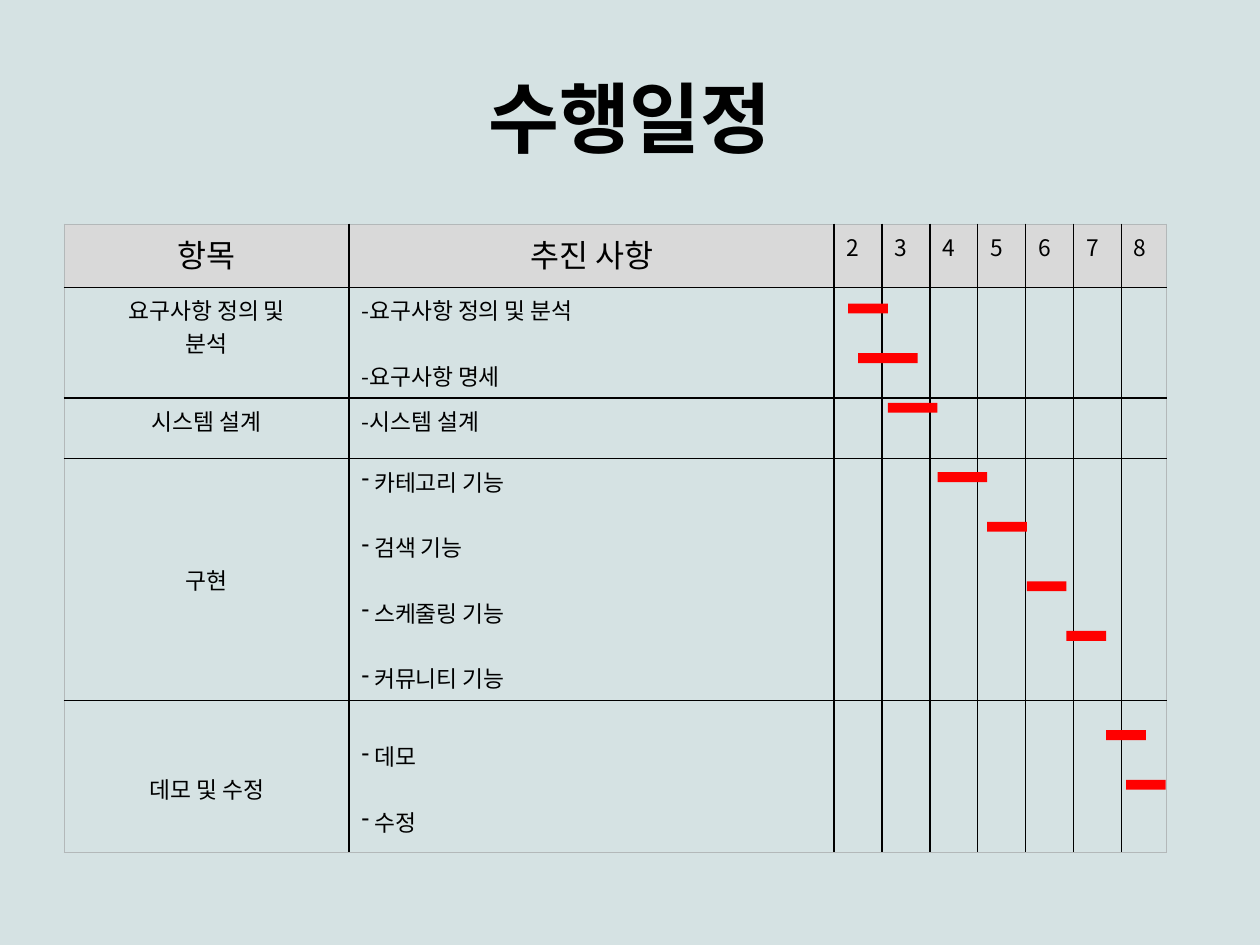
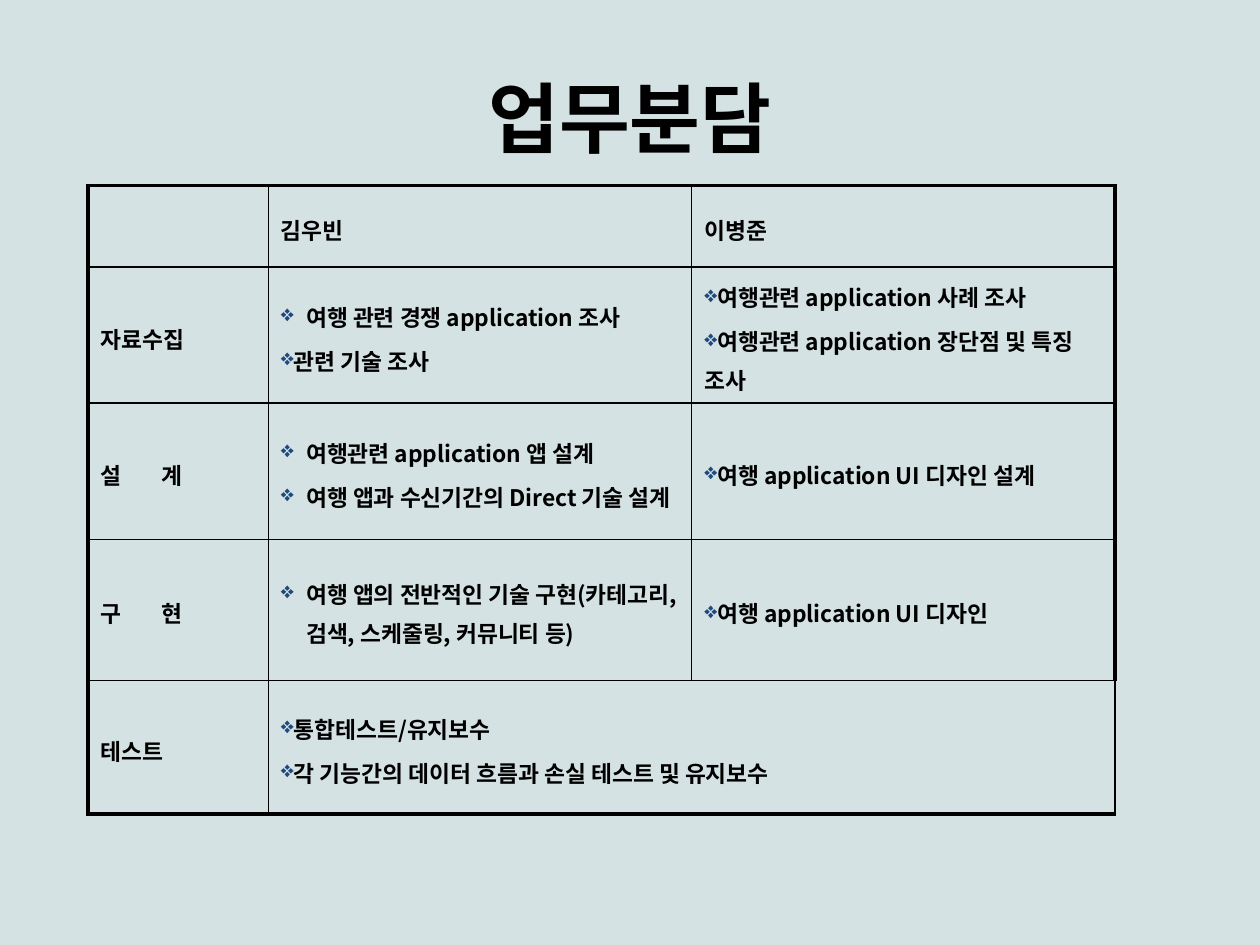
from lxml.etree import SubElement
from pptx import Presentation
from pptx.dml.color import RGBColor
from pptx.enum.shapes import MSO_SHAPE
from pptx.enum.text import MSO_ANCHOR, PP_ALIGN
from pptx.oxml.ns import qn
from pptx.util import Inches, Mm, Pt

FONT = "Noto Sans CJK KR"
BACK, INK, HEAD, EDGE = "D5E2E3", "000000", "D9D9D9", "B3B8B9"
BAR, BULLET = "FF0000", "1F497D"
SIZE = 13
LINE = 18.7  # height of one text line, in points
STEP = Mm(2)  # grid of the schedule bars


def rgb(value):
    return RGBColor.from_string(value)


def write(p, text, size=SIZE, bold=False, tracking=None):
    """Add a run in the deck's font to a paragraph."""
    r = p.add_run()
    r.text = text
    r.font.name, r.font.size, r.font.bold = FONT, Pt(size), bold
    r.font.color.rgb = rgb(INK)
    rPr = r._r.get_or_add_rPr()
    SubElement(rPr, qn("a:ea")).set("typeface", FONT)
    if tracking:
        rPr.set("spc", str(tracking * 100))


def add_bullet(p, char, color=INK, hang=0):
    pPr = p._p.get_or_add_pPr()
    pPr.set("marL", str(Inches(hang)))
    pPr.set("indent", str(-Inches(hang)))
    clr = SubElement(pPr, qn("a:buClr"))
    SubElement(clr, qn("a:srgbClr")).set("val", color)
    SubElement(pPr, qn("a:buChar")).set("char", char)


def fill_cell(cell, lines, align=PP_ALIGN.LEFT, anchor=MSO_ANCHOR.TOP, before=0,
              gap=0, spacing=None, bullet=None, color=INK, hangs=(), **font):
    """Write lines into a cell; before and gap are in points."""
    cell.vertical_anchor = anchor
    tf = cell.text_frame
    for i, text in enumerate(lines):
        p = tf.paragraphs[0] if i == 0 else tf.add_paragraph()
        p.alignment = align
        p.space_before = Pt(gap if i else before)
        if spacing:
            p.line_spacing = spacing
        if bullet:
            add_bullet(p, bullet, color, hangs[i] if hangs else 0)
        write(p, text, **font)


def set_borders(cell, sides):
    """sides holds (colour, points) for left, right, top, bottom."""
    tcPr = cell._tc.get_or_add_tcPr()
    for tag, (color, width) in zip(("lnL", "lnR", "lnT", "lnB"), sides):
        ln = SubElement(tcPr, qn("a:" + tag))
        ln.set("w", str(Pt(width)))
        fill = SubElement(ln, qn("a:solidFill"))
        SubElement(fill, qn("a:srgbClr")).set("val", color)


def add_grid(s, left, top, cols, rows, outer, head=None):
    """Add a table with thin inner lines and the given outer line."""
    inner = (INK, 1)
    last_row, last_col = len(rows) - 1, len(cols) - 1
    table = s.shapes.add_table(len(rows), len(cols), Inches(left), Inches(top),
                               Inches(sum(cols)), Inches(sum(rows))).table
    table.first_row = table.horz_banding = False
    for col, width in zip(table.columns, cols):
        col.width = Inches(width)
    for row, height in zip(table.rows, rows):
        row.height = Inches(height)
    for r in range(len(rows)):
        for c in range(len(cols)):
            cell = table.cell(r, c)
            at_edge = (c == 0, c == last_col, r == 0, r == last_row)
            set_borders(cell, [outer if edge else inner for edge in at_edge])
            if head and r == 0:
                cell.fill.solid()
                cell.fill.fore_color.rgb = rgb(head)
            else:
                cell.fill.background()
    return table


def add_slide(prs, title):
    s = prs.slides.add_slide(prs.slide_layouts[5])
    sp = s.shapes.title
    sp.left, sp.top, sp.width, sp.height = map(Inches, (0.5, 0.3, 9, 1.25))
    sp.text_frame.vertical_anchor = MSO_ANCHOR.MIDDLE
    p = sp.text_frame.paragraphs[0]
    p.alignment = PP_ALIGN.CENTER
    write(p, title, size=44, bold=True)
    return s


def add_bar(s, col, row, length):
    """Add a schedule bar, placed in grid steps."""
    sp = s.shapes.add_shape(MSO_SHAPE.RECTANGLE, Mm(171) + col * STEP,
                            Mm(61.2) + row * STEP, length * STEP, STEP)
    sp.shadow.inherit = False
    sp.fill.solid()
    sp.fill.fore_color.rgb = rgb(BAR)
    sp.line.fill.background()


def schedule_slide(prs):
    s = add_slide(prs, "수행일정")
    cols = [2.26, 3.85] + [0.38] * 6 + [0.36]
    table = add_grid(s, 0.51, 1.78, cols, [0.5, 0.88, 0.48, 1.92, 1.21],
                     outer=(EDGE, 0.75), head=HEAD)
    # Header: two labels and the months
    for c, label in enumerate(("항목", "추진 사항")):
        fill_cell(table.cell(0, c), [label], align=PP_ALIGN.CENTER, size=18)
    for c, month in enumerate(range(2, 9), start=2):
        fill_cell(table.cell(0, c), [str(month)])
    # Phases: name lines, tasks, bullet
    phases = [
        (["요구사항 정의 및", "분석"], ["-요구사항 정의 및 분석", "-요구사항 명세"], None),
        (["시스템 설계"], ["-시스템 설계"], None),
        (["구현"], [" 카테고리 기능", " 검색 기능", " 스케줄링 기능", " 커뮤니티 기능"], "-"),
        (["데모 및 수정"], [" 데모", " 수정"], "-"),
    ]
    for r, (names, tasks, bullet) in enumerate(phases, start=1):
        name, task = table.cell(r, 0), table.cell(r, 1)
        fill_cell(name, names, align=PP_ALIGN.CENTER,
                  anchor=MSO_ANCHOR.MIDDLE if r == 3 else MSO_ANCHOR.TOP)
        fill_cell(task, tasks, gap=LINE, bullet=bullet)
    # The last phase starts lower in its row
    name.margin_top = Inches(0.05) + Pt(2 * LINE)
    task.margin_top = Inches(0.05) + Pt(LINE)
    # Bars: column, row, length in steps
    for bar in ((0, 0, 4), (1, 5, 6), (4, 10, 5), (9, 17, 5), (14, 22, 4),
                (18, 28, 4), (22, 33, 4), (26, 43, 4), (28, 48, 4)):
        add_bar(s, *bar)


def roles_slide(prs):
    s = add_slide(prs, "업무분담")
    table = add_grid(s, 0.7, 1.47, [1.43, 3.36, 3.36],
                     [0.65, 1.08, 1.08, 1.12, 1.06], outer=(INK, 2.25))
    table.cell(4, 1).merge(table.cell(4, 2))
    style = dict(anchor=MSO_ANCHOR.MIDDLE, before=2.6, gap=2.6, spacing=1.2, bold=True)
    # Members and stages
    for c, member in enumerate(("김우빈", "이병준"), start=1):
        fill_cell(table.cell(0, c), [member], **style)
    for r, stage in enumerate(("자료수집", "설 계", "구 현", "테스트"), start=1):
        fill_cell(table.cell(r, 0), [stage],
                  tracking=10 if " " in stage else None, **style)
    # Duties: row, column, hanging indents, lines
    duties = [
        (1, 1, (0.2, 0), ["여행 관련 경쟁 application 조사", "관련 기술 조사"]),
        (1, 2, (), ["여행관련 application 사례 조사",
                    "여행관련 application 장단점 및 특징 조사"]),
        (2, 1, (0.2, 0.2), ["여행관련 application 앱 설계",
                            "여행 앱과 수신기간의 Direct 기술 설계"]),
        (2, 2, (), ["여행 application UI 디자인 설계"]),
        (3, 1, (0.2,), ["여행 앱의 전반적인 기술 구현(카테고리, 검색, 스케줄링, 커뮤니티 등)"]),
        (3, 2, (), ["여행 application UI 디자인"]),
        (4, 1, (), ["통합테스트/유지보수",
                    "각 기능간의 데이터 흐름과 손실 테스트 및 유지보수"]),
    ]
    for r, c, hangs, lines in duties:
        fill_cell(table.cell(r, c), lines, bullet="❖", color=BULLET,
                  hangs=hangs, **style)


def main():
    prs = Presentation()
    prs.slide_width, prs.slide_height = Inches(10), Inches(7.5)
    back = prs.slide_master.background.fill
    back.solid()
    back.fore_color.rgb = rgb(BACK)
    schedule_slide(prs)
    roles_slide(prs)
    prs.save("out.pptx")


if __name__ == "__main__":
    main()
